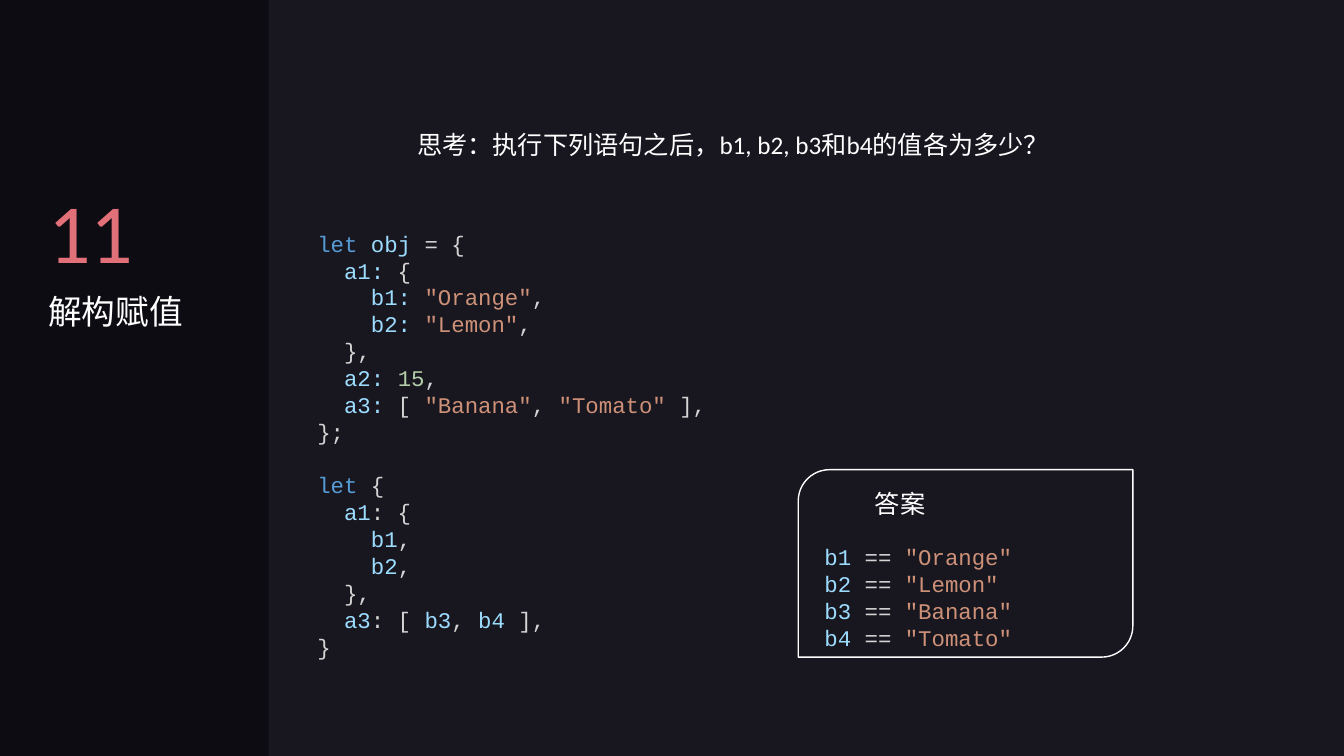
from pptx import Presentation
from pptx.dml.color import RGBColor
from pptx.enum.shapes import MSO_SHAPE
from pptx.enum.text import MSO_AUTO_SIZE
from pptx.util import Pt

WHITE = "FFFFFF"
KEYWORD, NAME, STRING, NUMBER, PLAIN = "569CD6", "9CDCFE", "CE9178", "B5CEA8", "D4D4D4"
CODE_LINE = 19.2

OBJECT_CODE = [
    [("let ", KEYWORD), ("obj", NAME), (" = {", PLAIN)],
    [("  a1:", NAME), (" {", PLAIN)],
    [("    b1: ", NAME), ('"Orange"', STRING), (",", PLAIN)],
    [("    b2: ", NAME), ('"Lemon"', STRING), (",", PLAIN)],
    [("  },", PLAIN)],
    [("  a2: ", NAME), ("15", NUMBER), (",", PLAIN)],
    [("  a3:", NAME), (" [ ", PLAIN), ('"Banana"', STRING), (", ", PLAIN),
     ('"Tomato"', STRING), (" ],", PLAIN)],
    [("};", PLAIN)],
]
PATTERN_CODE = [
    [("let", KEYWORD), (" {", PLAIN)],
    [("  a1", NAME), (": {", PLAIN)],
    [("    b1", NAME), (",", PLAIN)],
    [("    b2", NAME), (",", PLAIN)],
    [("  },", PLAIN)],
    [("  a3", NAME), (": [ ", PLAIN), ("b3", NAME), (", ", PLAIN), ("b4", NAME), (" ],", PLAIN)],
    [("}", PLAIN)],
]
ANSWERS = {"b1": "Orange", "b2": "Lemon", "b3": "Banana", "b4": "Tomato"}


def color(value):
    """Turn a hex string into a colour."""
    return RGBColor.from_string(value)


def add_panel(page, kind, left, top, width, height, fill=None, line=None):
    """Add a preset shape with an optional fill and outline."""
    panel = page.shapes.add_shape(kind, Pt(left), Pt(top), Pt(width), Pt(height))
    panel.shadow.inherit = False
    if fill:
        panel.fill.solid()
        panel.fill.fore_color.rgb = color(fill)
    else:
        panel.fill.background()
    if line:
        panel.line.color.rgb = color(line)
        panel.line.width = Pt(1)
    else:
        panel.line.fill.background()


def add_box(page, left, top, width, height, wrap):
    """Add an empty text box that grows with its text."""
    box = page.shapes.add_textbox(Pt(left), Pt(top), Pt(width), Pt(height))
    box.text_frame.word_wrap = wrap
    box.text_frame.auto_size = MSO_AUTO_SIZE.SHAPE_TO_FIT_TEXT
    return box.text_frame


def add_label(page, text, left, top, width, height, size, ink=WHITE, wrap=False):
    """Add a one-line text in a single style."""
    para = add_box(page, left, top, width, height, wrap).paragraphs[0]
    para.text = text
    para.font.name = "Calibri"
    para.font.size = Pt(size)
    para.font.color.rgb = color(ink)


def add_code(page, blocks, left, top, width, height):
    """Add blocks of coloured code, one line apart."""
    frame = add_box(page, left, top, width, height, True)
    para = frame.paragraphs[0]
    for block_index, block in enumerate(blocks):
        for line_index, line in enumerate(block):
            if block_index or line_index:
                para = frame.add_paragraph()
            if block_index and not line_index:
                para.space_before = Pt(CODE_LINE)
            para.line_spacing = Pt(CODE_LINE)
            para.font.name = "Courier New"
            para.font.size = Pt(16)
            for text, ink in line:
                span = para.add_run()
                span.text = text
                span.font.color.rgb = color(ink)


def main():
    """Build the slide and save it."""
    deck = Presentation()
    deck.slide_width, deck.slide_height = Pt(960), Pt(540)
    page = deck.slides.add_slide(deck.slide_layouts[6])
    page.background.fill.solid()
    page.background.fill.fore_color.rgb = color("181720")

    add_panel(page, MSO_SHAPE.RECTANGLE, 0, 0, 192, 540, fill="0E0C13")
    add_label(page, "11", 27.4, 124.6, 75.6, 80, 60, ink="E17079")
    add_label(page, "解构赋值", 27.4, 204.5, 135.4, 36, 24, wrap=True)
    add_label(page, "思考：执行下列语句之后，b1, b2, b3和b4的值各为多少？",
              290.9, 88.6, 470.9, 28.8, 18)
    add_code(page, [OBJECT_CODE, PATTERN_CODE], 219.6, 160.6, 480.2, 317.5)

    add_panel(page, MSO_SHAPE.ROUND_2_DIAG_RECTANGLE, 570.2, 335.5, 239, 133.9, line=WHITE)
    add_label(page, "答案", 617.8, 345.6, 51.1, 28.8, 18)
    answer_code = [[(name, NAME), (" == ", PLAIN), (f'"{value}"', STRING)]
                   for name, value in ANSWERS.items()]
    add_code(page, [answer_code], 581.8, 384.5, 153.4, 85)

    deck.save("out.pptx")


if __name__ == "__main__":
    main()
